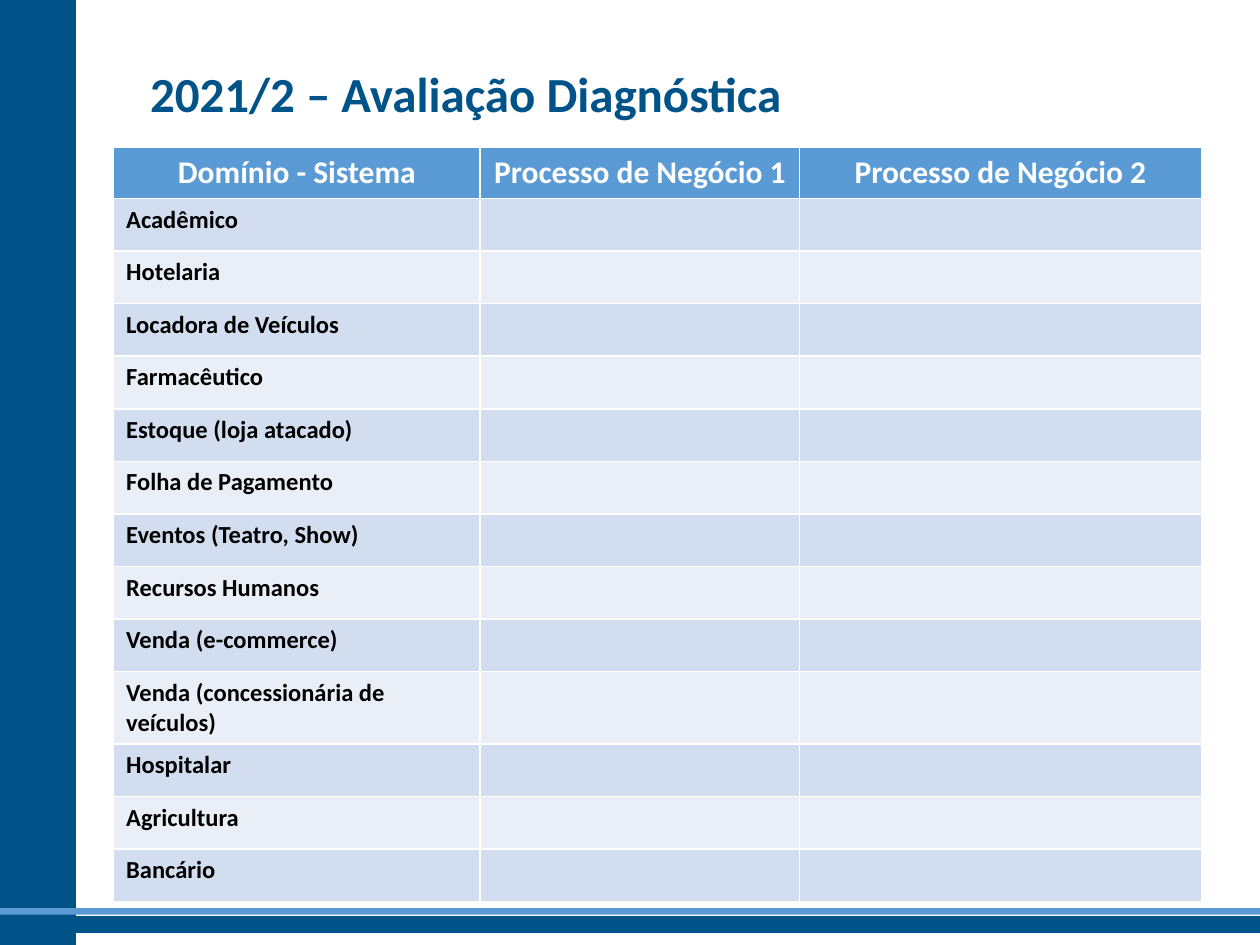
from pptx import Presentation
from pptx.dml.color import RGBColor
from pptx.enum.shapes import MSO_SHAPE
from pptx.enum.text import MSO_ANCHOR, MSO_AUTO_SIZE, PP_ALIGN
from pptx.util import Cm, Pt

HEADERS = ["Domínio - Sistema", "Processo de Negócio 1", "Processo de Negócio 2"]
DOMAINS = [
    "Acadêmico",
    "Hotelaria",
    "Locadora de Veículos",
    "Farmacêutico",
    "Estoque (loja atacado)",
    "Folha de Pagamento",
    "Eventos (Teatro, Show)",
    "Recursos Humanos",
    "Venda (e-commerce)",
    "Venda (concessionária de veículos)",
    "Hospitalar",
    "Agricultura",
    "Bancário",
]


def color(value):
    return RGBColor.from_string(value)


class SlideBuilder:
    font_name = "Calibri"
    navy = "005388"
    blue = "5B9BD5"
    white = "FFFFFF"
    black = "000000"
    bands = ["D2DEEF", "EAEFF7"]

    def __init__(self, page):
        self.page = page

    def style(self, para, size, ink):
        para.font.name = self.font_name
        para.font.size = Pt(size)
        para.font.bold = True
        para.font.color.rgb = color(ink)

    def title(self, text, left, top, width, height):
        box = self.page.shapes.title
        box.left, box.top, box.width, box.height = Cm(left), Cm(top), Cm(width), Cm(height)
        frame = box.text_frame
        frame.text = text
        frame.auto_size = MSO_AUTO_SIZE.NONE
        frame.vertical_anchor = MSO_ANCHOR.MIDDLE
        para = frame.paragraphs[0]
        para.alignment = PP_ALIGN.LEFT
        para.line_spacing = 0.8
        para.space_before = Pt(10)
        self.style(para, 28, self.navy)

    def bar(self, left, top, width, height, fill, outlined=True):
        shape = self.page.shapes.add_shape(
            MSO_SHAPE.RECTANGLE, Cm(left), Cm(top), Cm(width), Cm(height)
        )
        shape.shadow.inherit = False
        shape.fill.solid()
        shape.fill.fore_color.rgb = color(fill)
        if outlined:
            shape.line.color.rgb = color(fill)
            shape.line.width = Pt(1)
        else:
            shape.line.fill.background()

    def cell(self, cell, text, fill, size, ink, alignment):
        cell.fill.solid()
        cell.fill.fore_color.rgb = color(fill)
        if text:
            cell.text = text
            para = cell.text_frame.paragraphs[0]
            para.alignment = alignment
            self.style(para, size, ink)

    def table(self, headers, labels, left, top, widths, header_height, row_height):
        heights = [header_height] + [row_height] * len(labels)
        table = self.page.shapes.add_table(
            len(heights), len(widths), Cm(left), Cm(top), Cm(sum(widths)), Cm(sum(heights))
        ).table
        for column, width in zip(table.columns, widths):
            column.width = Cm(width)
        for row, height in zip(table.rows, heights):
            row.height = Cm(height)
        for column, header in enumerate(headers):
            self.cell(table.cell(0, column), header, self.blue, 18, self.white, PP_ALIGN.CENTER)
        for index, label in enumerate(labels):
            band = self.bands[index % 2]
            for column in range(len(widths)):
                text = label if column == 0 else ""
                self.cell(table.cell(index + 1, column), text, band, 14, self.black, PP_ALIGN.LEFT)


def main():
    deck = Presentation()
    deck.slide_width, deck.slide_height = Cm(25.4), Cm(19.05)
    builder = SlideBuilder(deck.slides.add_slide(deck.slide_layouts[5]))
    builder.bar(0, 0, 1.52, 19.05, builder.navy)
    builder.bar(0, 18.49, 25.4, 0.3, builder.navy)
    builder.bar(0, 18.31, 25.4, 0.13, builder.blue, outlined=False)
    builder.title("2021/2 – Avaliação Diagnóstica", 2.77, 1.37, 21.95, 1.24)
    builder.table(HEADERS, DOMAINS, 2.29, 2.97, [7.39, 6.44, 8.1], 1.03, 1.06)
    deck.save("out.pptx")


if __name__ == "__main__":
    main()
